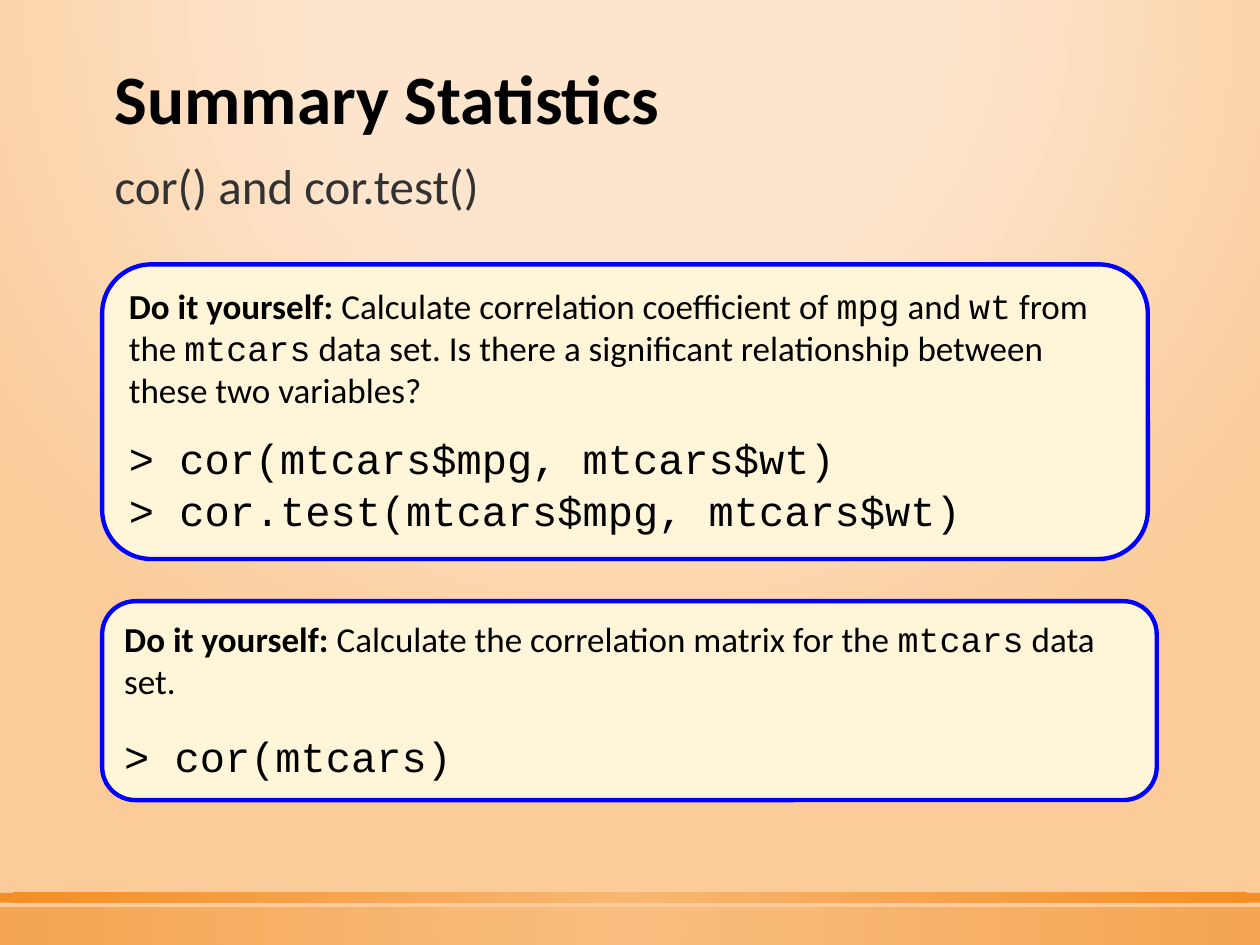
from lxml.etree import SubElement
from pptx import Presentation
from pptx.dml.color import RGBColor
from pptx.enum.shapes import MSO_SHAPE
from pptx.enum.text import MSO_ANCHOR, MSO_AUTO_SIZE, PP_ALIGN
from pptx.oxml.ns import qn
from pptx.util import Cm, Pt


def tint(code):
    return RGBColor.from_string(code)


class Deck:
    sans = "Calibri"
    mono = "Courier New"
    black = "000000"
    gray = "323232"
    cream = "FFF6D9"
    blue = "0000FF"
    left = 2.06

    def __init__(self):
        self.show = Presentation()
        self.show.slide_width = Cm(25.4)
        self.show.slide_height = Cm(19.05)
        self.slide = self.show.slides.add_slide(self.show.slide_layouts[5])

    def blend(self, fill, node, stops, top, base):
        fill.gradient()
        grad = node.find(".//" + qn("a:gradFill"))
        for child in list(grad):
            grad.remove(child)
        group = SubElement(grad, qn("a:gsLst"))
        for place, code, alpha in stops:
            stop = SubElement(group, qn("a:gs"), pos=str(place * 1000))
            color = SubElement(stop, qn("a:srgbClr"), val=code)
            if alpha < 100:
                SubElement(color, qn("a:alpha"), val=str(alpha * 1000))
        route = SubElement(grad, qn("a:path"))
        route.set("path", "circle")
        SubElement(route, qn("a:fillToRect"), l="50000", t=str(top * 1000),
                   r="50000", b=str(base * 1000))

    def backdrop(self):
        stops = [(0, "FDE5CD", 59), (40, "FDE5CD", 66), (100, "FBCC9A", 100)]
        self.blend(self.slide.background.fill, self.slide.element, stops, -80, 180)

    def band(self, top, height, alpha):
        bar = self.slide.shapes.add_shape(
            MSO_SHAPE.RECTANGLE, 0, Cm(top), self.show.slide_width, Cm(height))
        bar.shadow.inherit = False
        bar.line.fill.background()
        stops = [(0, "F9B268", alpha), (100, "F07F09", alpha)]
        self.blend(bar.fill, bar.element.spPr, stops, 50, 50)

    def put(self, para, text, size, font=sans, color=black, bold=False):
        run = para.add_run()
        run.text = text
        run.font.size = Pt(size)
        run.font.name = font
        run.font.bold = bold
        run.font.color.rgb = tint(color)

    def label(self, shape, text, size, color, bold=False):
        frame = shape.text_frame
        frame.word_wrap = True
        frame.auto_size = MSO_AUTO_SIZE.NONE
        frame.vertical_anchor = MSO_ANCHOR.BOTTOM
        para = frame.paragraphs[0]
        para.alignment = PP_ALIGN.LEFT
        self.put(para, text, size, color=color, bold=bold)
        return para

    def title(self, text):
        shape = self.slide.shapes.title
        shape.left, shape.top = Cm(self.left), Cm(1.24)
        shape.width, shape.height = Cm(19.96), Cm(1.7)
        para = self.label(shape, text, 39.6, self.black, True)
        para.line_spacing = 0.9

    def heading(self, text):
        shape = self.slide.shapes.add_textbox(
            Cm(self.left), Cm(2.74), Cm(16.05), Cm(1.7))
        self.label(shape, text, 28, self.gray)

    def task(self, top, width, height, parts, code, before, after):
        box = self.slide.shapes.add_shape(
            MSO_SHAPE.ROUNDED_RECTANGLE, Cm(self.left), Cm(top), Cm(width), Cm(height))
        box.shadow.inherit = False
        box.fill.solid()
        box.fill.fore_color.rgb = tint(self.cream)
        box.line.color.rgb = tint(self.blue)
        box.line.width = Pt(2.5)
        frame = box.text_frame
        frame.word_wrap = True
        frame.auto_size = MSO_AUTO_SIZE.SHAPE_TO_FIT_TEXT
        frame.vertical_anchor = MSO_ANCHOR.TOP
        para = frame.paragraphs[0]
        para.alignment = PP_ALIGN.LEFT
        para.space_before, para.space_after = Pt(4), Pt(12)
        self.put(para, "Do it yourself: ", 20, bold=True)
        for place, text in enumerate(parts):
            self.put(para, text, 20, self.mono if place % 2 else self.sans)
        for text in code:
            para = frame.add_paragraph()
            para.alignment = PP_ALIGN.LEFT
            para.space_before, para.space_after = Pt(before), Pt(after)
            self.put(para, text, 24, self.mono)

    def save(self):
        self.show.save("out.pptx")


def main():
    deck = Deck()
    deck.backdrop()
    deck.band(18.29, 0.76, 50)
    deck.band(18, 0.2, 80)
    deck.title("Summary Statistics")
    deck.heading("cor() and cor.test()")
    deck.task(5.33, 21.08, 5.94,
              ["Calculate correlation coefficient of ", "mpg", " and ", "wt",
               " from the ", "mtcars",
               " data set. Is there a significant relationship between "
               "these two variables?"],
              ["> cor(mtcars$mpg, mtcars$wt)", "> cor.test(mtcars$mpg, mtcars$wt)"],
              0.5, 0)
    deck.task(12.12, 21.26, 4.01,
              ["Calculate the correlation matrix for the ", "mtcars", " data set."],
              ["> cor(mtcars)"], 4.8, 12)
    deck.save()


if __name__ == "__main__":
    main()
